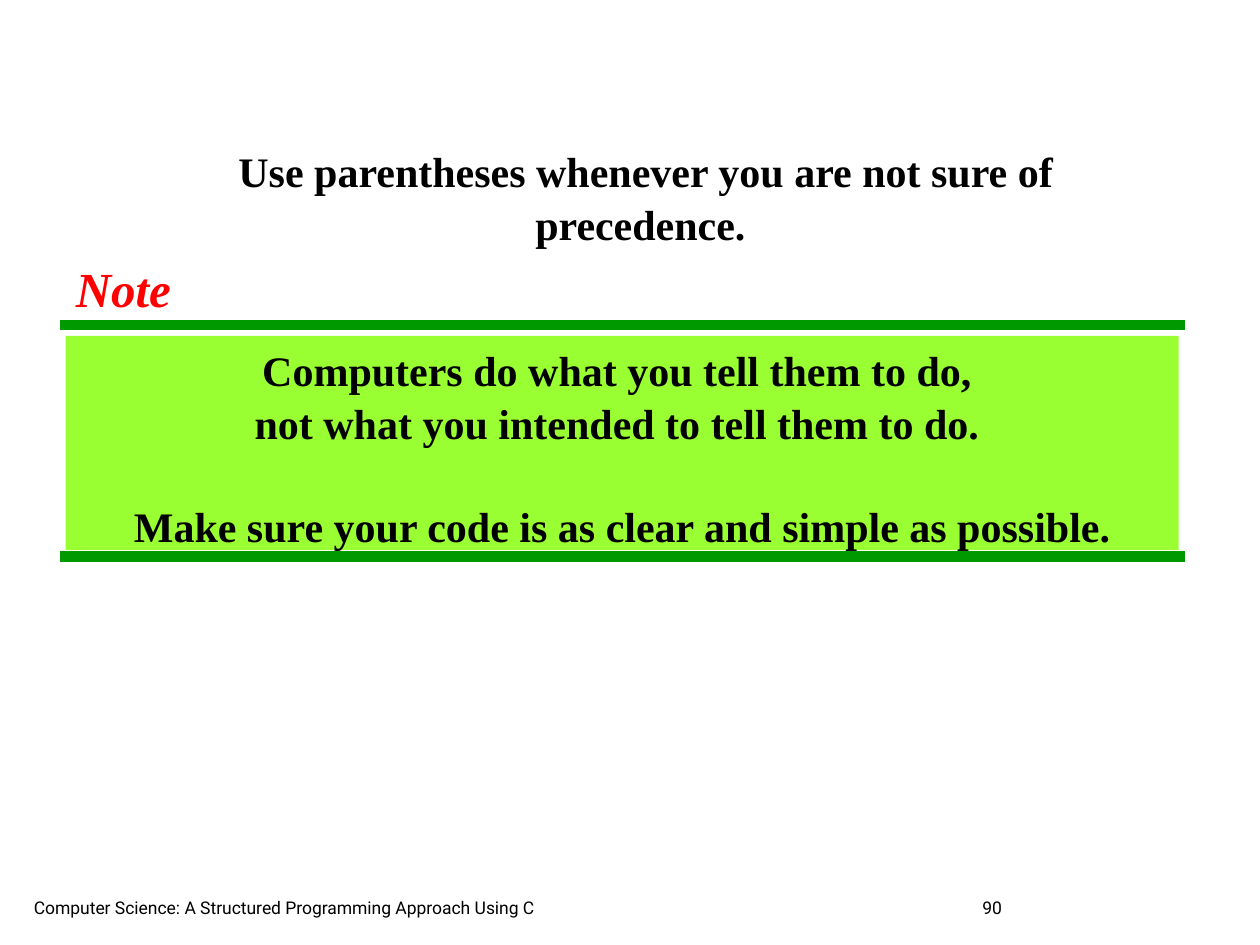
from dataclasses import dataclass

from lxml import etree
from pptx import Presentation
from pptx.dml.color import RGBColor
from pptx.enum.shapes import MSO_CONNECTOR, MSO_SHAPE
from pptx.enum.text import MSO_ANCHOR, PP_ALIGN
from pptx.oxml.ns import qn
from pptx.util import Pt

STRAIGHT = MSO_CONNECTOR.STRAIGHT
RECTANGLE = MSO_SHAPE.RECTANGLE
TOP, BOTTOM = MSO_ANCHOR.TOP, MSO_ANCHOR.BOTTOM
LEFT, CENTER = PP_ALIGN.LEFT, PP_ALIGN.CENTER


@dataclass(frozen=True)
class Theme:
    """Colours, fonts and type sizes of the slide."""
    ink: RGBColor = RGBColor(0, 0, 0)
    accent: RGBColor = RGBColor(255, 0, 0)
    rule: RGBColor = RGBColor(0, 153, 0)
    panel: RGBColor = RGBColor(153, 255, 51)
    serif: str = "Times New Roman"
    sans: str = "Roboto"
    body: int = 24
    label: int = 28
    footer: int = 10
    rule_width: int = 6
    spacing: float = 1.05


THEME = Theme()


def write(sp, text, size, font=THEME.serif, color=THEME.ink, bold=True,
          italic=False, align=CENTER, anchor=TOP, wrap=True, spacing=None):
    """Fill a shape with uniformly formatted text."""
    tf = sp.text_frame
    tf.text = text
    tf.word_wrap = wrap
    tf.vertical_anchor = anchor
    for p in tf.paragraphs:
        p.alignment = align
        p.line_spacing = spacing
        for r in p.runs:
            r.font.name = font
            r.font.size = Pt(size)
            r.font.bold = bold
            r.font.italic = italic
            r.font.color.rgb = color
    return tf


def add_text(s, box, text, size, **style):
    """Add a text box at the given box in points."""
    sp = s.shapes.add_textbox(*map(Pt, box))
    write(sp, text, size, **style)


def add_rule(s, left, right, y):
    """Add a thick horizontal rule."""
    line = s.shapes.add_connector(STRAIGHT, Pt(left), Pt(y), Pt(right), Pt(y))
    line.line.color.rgb = THEME.rule
    line.line.width = Pt(THEME.rule_width)
    etree.SubElement(line._element.spPr, qn("a:effectLst"))


def add_note(s, box, label, statements):
    """Add a labelled panel between two rules, one paragraph per statement."""
    left, top, width, height = box
    for y in (top - 6.3, top + height + 3.6):
        add_rule(s, left - 3, left + width + 3.5, y)
    sp = s.shapes.add_shape(RECTANGLE, *map(Pt, box))
    sp.shadow.inherit = False
    sp.fill.solid()
    sp.fill.fore_color.rgb = THEME.panel
    sp.line.fill.background()
    tf = write(sp, "\n".join(statements), THEME.body, spacing=THEME.spacing)
    for p in tf.paragraphs[1:]:
        p.space_before = Pt(THEME.body * 1.2)
    add_text(s, (left - 1.5, top - 48, 69, 41), label, THEME.label,
             color=THEME.accent, italic=True, wrap=False)


def add_footer(s, box, title, number):
    """Add the book title and the page number along the bottom."""
    left, top, width, height = box
    number_left = left + 542
    parts = ((left, 408, title), (number_left, width - 542, number))
    for x, w, text in parts:
        add_text(s, (x, top, w, height), text, THEME.footer, font=THEME.sans,
                 bold=False, align=LEFT, anchor=BOTTOM)


def main():
    """Build the slide and save it."""
    prs = Presentation()
    prs.slide_width, prs.slide_height = Pt(720), Pt(540)
    s = prs.slides.add_slide(prs.slide_layouts[6])
    add_footer(s, (12.25, 492, 692, 36),
               "Computer Science: A Structured Programming Approach Using C", "90")
    add_note(s, (37.5, 192, 636, 122.4), "Note", (
        "Computers do what you tell them to do, \v"
        "not what you intended to tell them to do. ",
        "Make sure your code is as clear and simple as possible."))
    add_text(s, (120, 78, 498, 65.5),
             "Use parentheses whenever you are not sure of precedence. ",
             THEME.body, spacing=THEME.spacing)
    prs.save("out.pptx")


if __name__ == "__main__":
    main()
